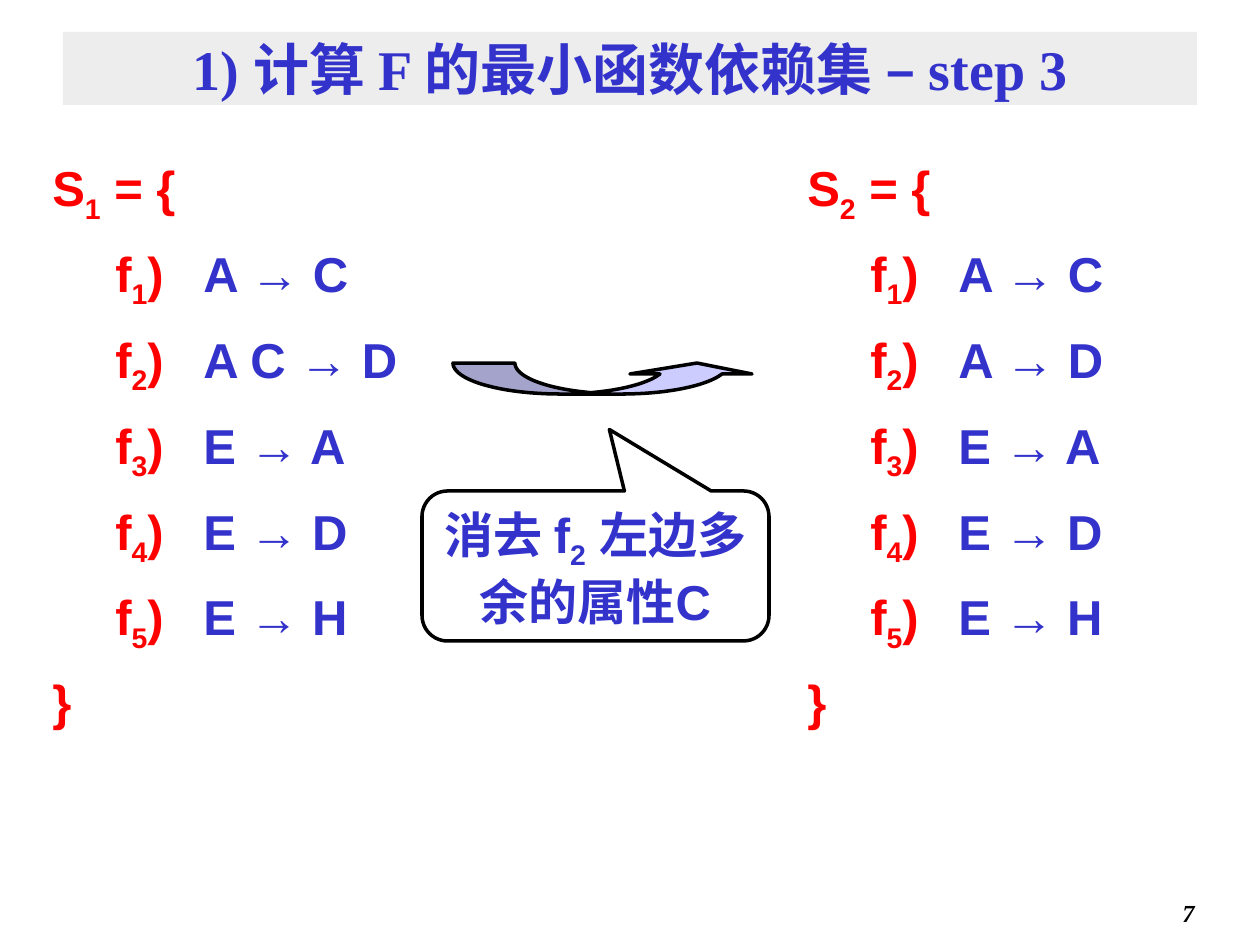
from math import asin, cos, pi, sin

from lxml import etree
from pptx import Presentation
from pptx.dml.color import RGBColor
from pptx.enum.shapes import MSO_SHAPE
from pptx.enum.text import MSO_ANCHOR, MSO_AUTO_SIZE, PP_ALIGN
from pptx.oxml.ns import qn
from pptx.util import Pt

RECT, CALLOUT = MSO_SHAPE.RECTANGLE, MSO_SHAPE.ROUNDED_RECTANGULAR_CALLOUT
CENTER, RIGHT, LEFT = PP_ALIGN.CENTER, PP_ALIGN.RIGHT, PP_ALIGN.LEFT
TOP, MIDDLE = MSO_ANCHOR.TOP, MSO_ANCHOR.MIDDLE
GROW = MSO_AUTO_SIZE.SHAPE_TO_FIT_TEXT

# Content
TITLE = "1) 计算 F 的最小函数依赖集 – step 3"
PAGE_NUMBER = "7"
CALLOUT_TEXT = ("消去 f", "2", " 左边多余的属性C")
DEPENDENCY_SETS = [
    ("1", 40, ["A → C", "A C → D", "E → A", "E → D", "E → H"]),
    ("2", 795, ["A → C", "A → D", "E → A", "E → D", "E → H"]),
]

BLUE, RED, BLACK = "3333CC", "FF0000", "000000"
ARROW_LIGHT, ARROW_DARK = "CCCCFF", "A3A3CC"
BODY = {"size": Pt(28), "name": "Arial", "bold": True}
HEADING = {"size": Pt(32), "name": "Times New Roman", "bold": True}
NUMBERING = {"size": Pt(14), "name": "Times New Roman", "bold": True, "italic": True}
ROW = {"line_spacing": 1.1, "space_before": Pt(7)}


def px(length):
    return round(length * 914400 / 126)


def rgb(value):
    return RGBColor.from_string(value)


def apply(target, values):
    for key, value in values.items():
        setattr(target, key, value)


def add_run(paragraph, text, style, color, subscript=False):
    run = paragraph.add_run()
    run.text = text
    apply(run.font, style)
    run.font.color.rgb = rgb(color)
    if subscript:
        run.font._element.set("baseline", "-25000")


def add_subscripted(paragraph, base, index, rest, color):
    add_run(paragraph, base, BODY, color)
    add_run(paragraph, index, BODY, color, True)
    add_run(paragraph, rest, BODY, color)


def set_frame(shape, anchor=TOP, align=LEFT):
    frame = shape.text_frame
    apply(frame, {"word_wrap": True, "vertical_anchor": anchor,
                  "margin_left": px(12.6), "margin_right": px(12.6),
                  "margin_top": px(6.3), "margin_bottom": px(6.3)})
    frame.paragraphs[0].alignment = align
    return frame


def set_outline(shape):
    shape.shadow.inherit = False
    shape.line.color.rgb = rgb(BLACK)
    shape.line.width = Pt(2)


def set_indent(paragraph, margin, hanging):
    properties = paragraph._p.get_or_add_pPr()
    properties.set("marL", str(px(margin)))
    properties.set("indent", str(-px(hanging)))


def add_dependency_set(slide, index, left, dependencies):
    box = slide.shapes.add_textbox(px(left), px(145), px(431), px(787))
    frame = set_frame(box)
    opening = frame.paragraphs[0]
    set_indent(opening, 63, 63)
    add_subscripted(opening, "S", index, " = {", RED)
    for number, dependency in enumerate(dependencies, 1):
        row = frame.add_paragraph()
        row.level = 1
        set_indent(row, 151, 88)
        add_subscripted(row, "f", str(number), ")", RED)
        add_run(row, "\t" + dependency, BODY, BLUE)
    closing = frame.add_paragraph()
    set_indent(closing, 63, 63)
    add_run(closing, "}", BODY, RED)
    for paragraph in frame.paragraphs:
        apply(paragraph, ROW)


def add_outline(slide, points, color):
    points = [(px(x), px(y)) for x, y in points]
    builder = slide.shapes.build_freeform(*points[0], scale=1)
    builder.add_line_segments(points[1:], close=True)
    shape = builder.convert_to_shape()
    shape.fill.solid()
    shape.fill.fore_color.rgb = rgb(color)
    set_outline(shape)


def add_curved_arrow(slide):
    # Two equal half ellipses, one shaft width apart, make both edges
    left, top, shaft, rx, ry, head = 453, 363, 62, 107, 31, 11
    outer, inner = left + rx, left + rx + shaft
    middle = (outer + inner) / 2
    crossing = asin((1 - (shaft / 2 / rx) ** 2) ** 0.5)
    neck = asin(head / ry)

    def arc(center, start, end, steps=24):
        angles = [start + (end - start) * i / steps for i in range(steps + 1)]
        return [(center + rx * cos(a), top + ry * sin(a)) for a in angles]

    tail_outer = arc(outer, pi, pi / 2)
    tail_inner = arc(inner, pi - crossing, pi)
    tip = inner + rx * cos(neck) - shaft / 2 + 6
    base = top + head
    arrowhead = [(tip + 55, base), (tip, top), (tip - 67, base)]
    add_outline(slide, arc(inner, pi / 2, neck) + arrowhead
                + arc(outer, neck, crossing) + [(middle, top + ry)], ARROW_LIGHT)
    add_outline(slide, tail_outer + [(middle, top + ry)] + tail_inner, ARROW_DARK)


def main():
    deck = Presentation()
    deck.slide_width, deck.slide_height = px(1260), px(945)
    slide = deck.slides.add_slide(deck.slide_layouts[6])

    # Page number
    page = slide.shapes.add_textbox(px(945), px(892), px(262), px(42))
    add_run(set_frame(page, align=RIGHT).paragraphs[0], PAGE_NUMBER, NUMBERING, BLACK)

    # Title on a half transparent band
    title = slide.shapes.add_shape(RECT, px(63), px(32), px(1134), px(73))
    title.shadow.inherit = False
    title.line.fill.background()
    title.fill.solid()
    title.fill.fore_color.rgb = rgb("DDDDDD")
    band_color = title.fill._xPr.find(".//" + qn("a:srgbClr"))
    etree.SubElement(band_color, qn("a:alpha"), val="50000")
    add_run(set_frame(title, MIDDLE, CENTER).paragraphs[0], TITLE, HEADING, BLUE)

    # Callout under the arrow
    callout = slide.shapes.add_shape(CALLOUT, px(422), px(491), px(347), px(150))
    for i, value in enumerate((0.04, -0.91, 0.17)):
        callout.adjustments[i] = value
    callout.fill.background()
    set_outline(callout)
    frame = set_frame(callout, align=CENTER)
    frame.auto_size = GROW
    frame.paragraphs[0].space_before = Pt(17.5)
    add_subscripted(frame.paragraphs[0], *CALLOUT_TEXT, BLUE)

    add_curved_arrow(slide)

    # Dependency sets before and after the step
    for index, left, dependencies in DEPENDENCY_SETS:
        add_dependency_set(slide, index, left, dependencies)

    deck.save("out.pptx")


if __name__ == "__main__":
    main()
